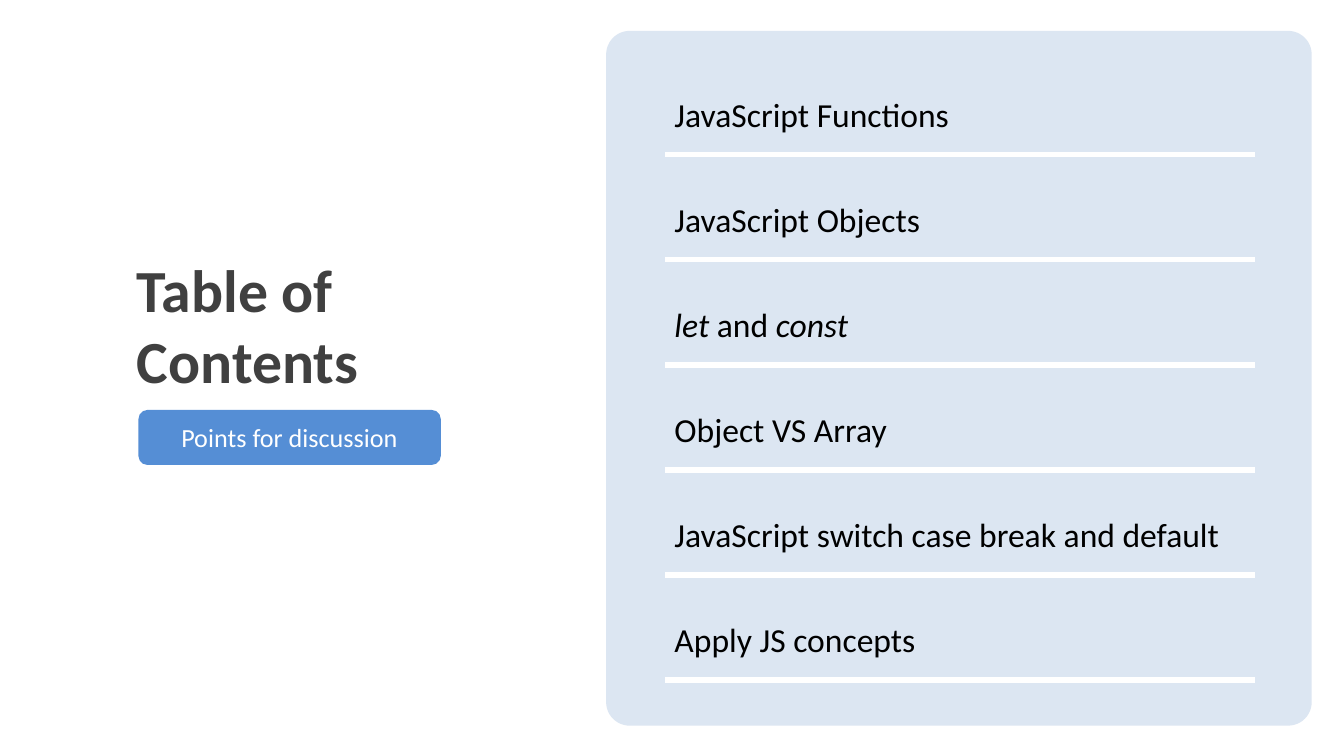
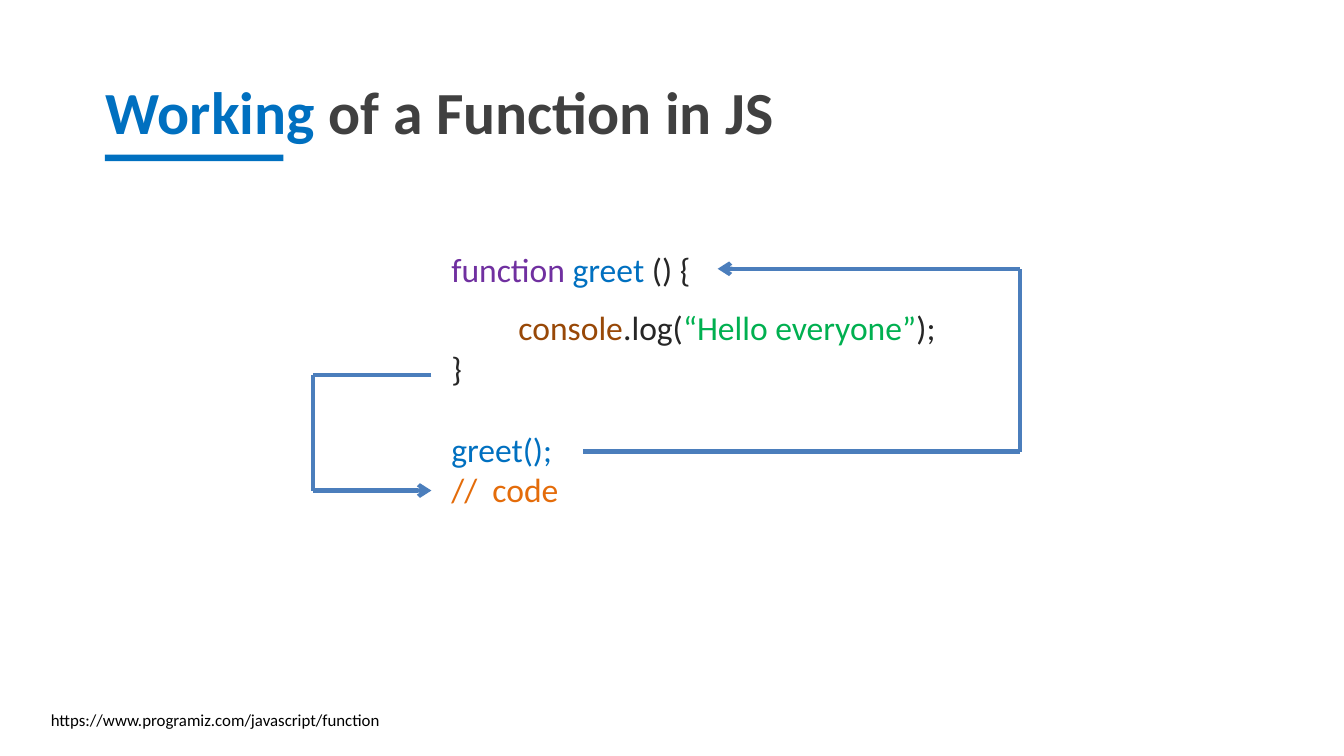
from dataclasses import dataclass
from itertools import pairwise

from lxml import etree
from pptx import Presentation
from pptx import util as u
from pptx.dml.color import RGBColor
from pptx.enum import shapes, text
from pptx.oxml import ns

WIDTH = u.Inches(10)
HEIGHT = WIDTH * 9 // 16
CELL = WIDTH / 100

FONT = "Calibri"
BLACK = "000000"
WHITE = "FFFFFF"
CHARCOAL = "404040"
CODE_GREY = "262626"
BLUE = "0070C0"
BUTTON_BLUE = "558ED5"
PANEL_BLUE = "DCE6F2"
ARROW_BLUE = "4B7EBC"
PURPLE = "7030A0"
BROWN = "984807"
GREEN = "00B050"
ORANGE = "E46C0A"

TITLE_SIZE = 32
BODY_SIZE = 18
ITEM_TOP, RULE_TOP, ITEM_PITCH = 6.5, 11.5, 7.82


@dataclass(frozen=True)
class Area:
    column: float
    row: float
    columns: float
    rows: float

    def lengths(self) -> list[int]:
        return [cells(n) for n in (self.column, self.row, self.columns, self.rows)]


@dataclass(frozen=True)
class Piece:
    text: str
    color: str = BLACK
    italic: bool = False


@dataclass(frozen=True)
class Line:
    pieces: tuple[Piece, ...]
    space_before: float = 0


@dataclass(frozen=True)
class Route:
    points: tuple[tuple[float, float], ...]


CONTENTS = (
    (Piece("JavaScript Functions"),),
    (Piece("JavaScript Objects"),),
    (Piece("let", italic=True), Piece(" and "), Piece("const", italic=True)),
    (Piece("Object VS Array"),),
    (Piece("JavaScript switch case break and default"),),
    (Piece("Apply JS concepts"),),
)

CODE = (
    Line((Piece("function ", PURPLE), Piece("greet ", BLUE), Piece("() {", CODE_GREY))),
    Line(
        (
            Piece("\t", CODE_GREY),
            Piece("console", BROWN),
            Piece(".log(", CODE_GREY),
            Piece("“Hello everyone”", GREEN),
            Piece(");", CODE_GREY),
        ),
        space_before=9.8,
    ),
    Line((Piece("}", CODE_GREY),)),
    Line((Piece("greet();", BLUE),), space_before=22),
    Line((Piece("//  code", ORANGE),)),
)

ROUTES = (
    Route(((43.4, 33.6), (75.9, 33.6), (75.9, 20), (53.4, 20))),
    Route(((32.1, 27.9), (23.3, 27.9), (23.3, 36.5), (32.1, 36.5))),
)


def cells(count: float) -> int:
    return round(count * CELL)


def rgb(color: str) -> RGBColor:
    return RGBColor.from_string(color)


def write_line(paragraph, line: Line, size: float, bold: bool = False) -> None:
    paragraph.font.name = FONT
    paragraph.font.size = u.Pt(size)
    paragraph.font.bold = bold
    if line.space_before:
        paragraph.space_before = u.Pt(line.space_before)
    same_color = len({piece.color for piece in line.pieces}) == 1
    if same_color:
        paragraph.font.color.rgb = rgb(line.pieces[0].color)
    for piece in line.pieces:
        run = paragraph.add_run()
        run.text = piece.text
        if not same_color:
            run.font.color.rgb = rgb(piece.color)
        if piece.italic:
            run.font.italic = True


def add_text(slide, area: Area, lines: tuple[Line, ...], size: float,
             bold: bool = False, indent: float = 0) -> None:
    frame = slide.shapes.add_textbox(*area.lengths()).text_frame
    frame.word_wrap = True
    frame.auto_size = text.MSO_AUTO_SIZE.SHAPE_TO_FIT_TEXT
    for index, line in enumerate(lines):
        paragraph = frame.add_paragraph() if index else frame.paragraphs[0]
        if indent:
            properties = paragraph._p.get_or_add_pPr()
            properties.set("marL", str(cells(indent)))
            properties.set("indent", "0")
        write_line(paragraph, line, size, bold)


def add_title(slide, area: Area, *pieces: Piece) -> None:
    add_text(slide, area, (Line(pieces),), TITLE_SIZE, bold=True)


def add_block(slide, kind: shapes.MSO_SHAPE, area: Area, color: str):
    shape = slide.shapes.add_shape(kind, *area.lengths())
    shape.shadow.inherit = False
    shape.fill.solid()
    shape.fill.fore_color.rgb = rgb(color)
    shape.line.fill.background()
    return shape


def add_line(holder, start: tuple[float, float], end: tuple[float, float],
             color: str, width: float, arrow: bool = False) -> None:
    connector = holder.shapes.add_connector(
        shapes.MSO_CONNECTOR.STRAIGHT, *map(cells, start + end))
    connector.line.color.rgb = rgb(color)
    connector.line.width = u.Pt(width)
    if arrow:
        outline = connector.line._get_or_add_ln()
        etree.SubElement(outline, ns.qn("a:tailEnd"), type="arrow")
    etree.SubElement(connector._element.spPr, ns.qn("a:effectLst"))


def add_route(slide, route: Route) -> None:
    group = slide.shapes.add_group_shape()
    for start, end in pairwise(route.points):
        add_line(group, start, end, ARROW_BLUE, 2.25, arrow=end == route.points[-1])


def build_contents(slide) -> None:
    add_title(slide, Area(9.2, 18.3, 29.2, 11.8), Piece("Table of Contents", CHARCOAL))
    button = add_block(slide, shapes.MSO_SHAPE.ROUNDED_RECTANGLE,
                       Area(10.3, 30.5, 22.5, 4.1), BUTTON_BLUE)
    button.text_frame.vertical_anchor = text.MSO_ANCHOR.MIDDLE
    label = button.text_frame.paragraphs[0]
    label.alignment = text.PP_ALIGN.CENTER
    write_line(label, Line((Piece("Points for discussion", WHITE),)), 14)

    panel = add_block(slide, shapes.MSO_SHAPE.ROUNDED_RECTANGLE,
                      Area(45.1, 2.3, 52.5, 51.7), PANEL_BLUE)
    panel.adjustments[0] = 0.034
    for index, pieces in enumerate(CONTENTS):
        offset = index * ITEM_PITCH
        add_text(slide, Area(49.2, ITEM_TOP + offset, 44.2, 4), (Line(pieces),), BODY_SIZE)
        rule = RULE_TOP + offset
        add_line(slide, (49.5, rule), (93.4, rule), WHITE, 3)


def build_function(slide) -> None:
    add_title(slide, Area(6.9, 5.1, 83.3, 6.4),
              Piece("Working", BLUE), Piece(" of a Function in JS", CHARCOAL))
    add_block(slide, shapes.MSO_SHAPE.RECTANGLE, Area(7.8, 11.5, 13.3, 0.5), BLUE)
    add_text(slide, Area(27.6, 18, 45.3, 25.2), CODE, BODY_SIZE, indent=5)
    for route in ROUTES:
        add_route(slide, route)
    add_text(slide, Area(2.8, 52.3, 54.6, 2.5),
             (Line((Piece("https://www.programiz.com/javascript/function"),)),), 9)


def main() -> None:
    presentation = Presentation()
    presentation.slide_width = WIDTH
    presentation.slide_height = HEIGHT
    blank = presentation.slide_layouts[6]
    for build in (build_contents, build_function):
        build(presentation.slides.add_slide(blank))
    presentation.save("out.pptx")


if __name__ == "__main__":
    main()
